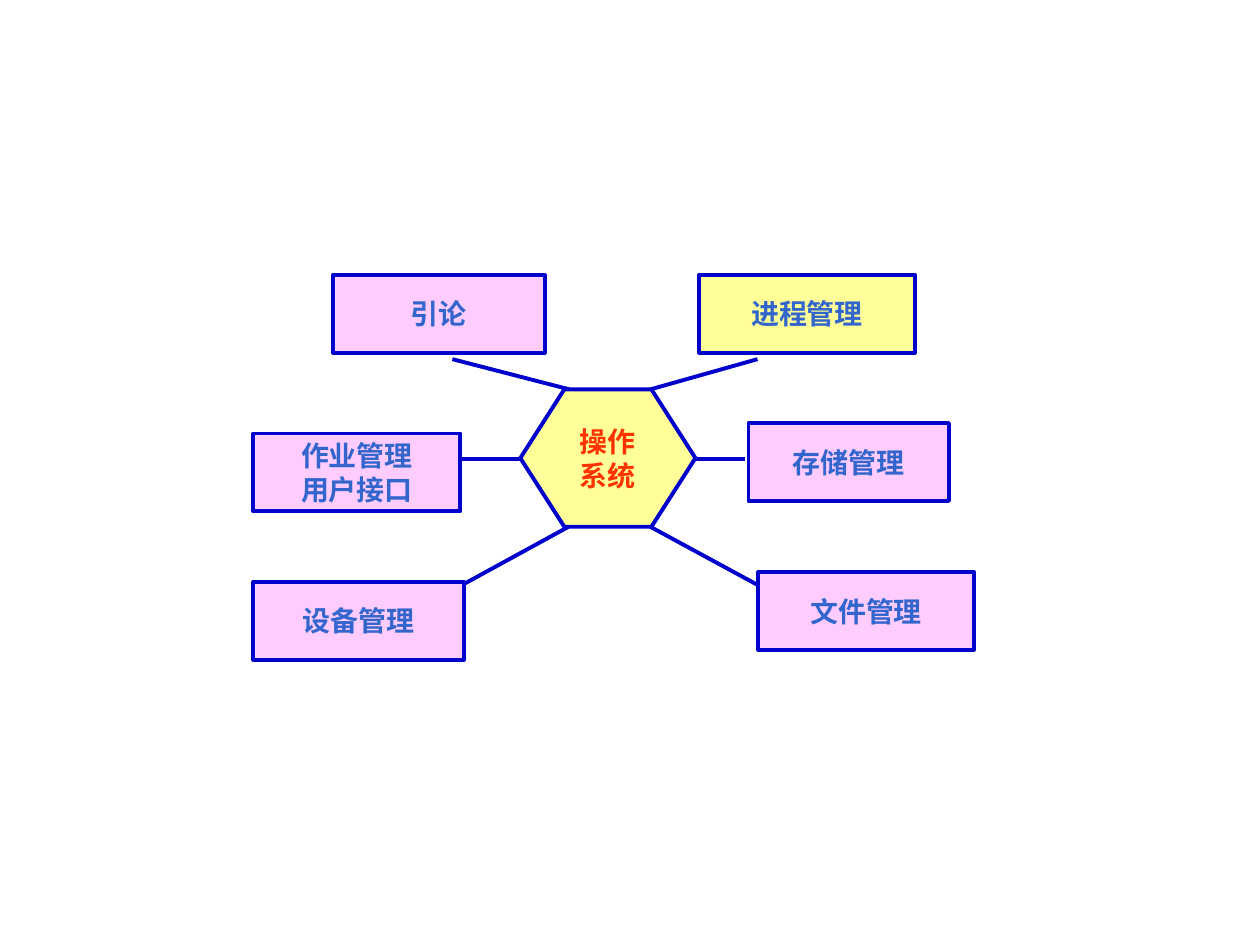
from dataclasses import dataclass

from lxml import etree
from pptx import Presentation
from pptx import util as u
from pptx.dml.color import RGBColor
from pptx.enum import shapes, text
from pptx.oxml import ns


@dataclass(frozen=True)
class Theme:
    font: str = "Arial"
    size: u.Pt = u.Pt(16)
    line_width: u.Pt = u.Pt(2.25)
    line: RGBColor = RGBColor(0x00, 0x00, 0xCC)
    pink: RGBColor = RGBColor(0xFF, 0xCC, 0xFF)
    yellow: RGBColor = RGBColor(0xFF, 0xFF, 0x99)
    topic_text: RGBColor = RGBColor(0x33, 0x66, 0xCC)
    hub_text: RGBColor = RGBColor(0xFF, 0x33, 0x00)


THEME = Theme()
BOX_HEIGHT = 1.57

# Spokes in cm: from x, y to x, y
SPOKES = [
    (9.12, 7.24, 11.48, 7.85),
    (15.27, 7.24, 13.11, 7.85),
    (9.32, 11.79, 11.46, 10.62),
    (15.27, 11.79, 13.11, 10.62),
    (10.62, 9.25, 9.32, 9.25),
    (13.97, 9.25, 15.01, 9.25),
]

# Topics: lines of text, then left, top, width in cm, then fill
TOPICS = [
    (["引论"], 6.71, 5.54, 4.27, THEME.pink),
    (["进程管理"], 14.1, 5.54, 4.34, THEME.yellow),
    (["设备管理"], 5.11, 11.73, 4.24, THEME.pink),
    (["作业管理", "用户接口"], 5.11, 8.74, 4.17, THEME.pink),
    (["存储管理"], 15.09, 8.53, 4.04, THEME.pink),
    (["文件管理"], 15.29, 11.53, 4.34, THEME.pink),
]


def style_line(line):
    line.color.rgb = THEME.line
    line.width = THEME.line_width


def add_spoke(s, *ends):
    sp = s.shapes.add_connector(
        shapes.MSO_CONNECTOR.STRAIGHT, *(u.Cm(v) for v in ends))
    style_line(sp.line)
    etree.SubElement(sp._element.spPr, ns.qn("a:effectLst"))


def add_node(s, kind, lines, box, fill, color):
    sp = s.shapes.add_shape(kind, *(u.Cm(v) for v in box))
    sp.shadow.inherit = False
    sp.fill.solid()
    sp.fill.fore_color.rgb = fill
    style_line(sp.line)
    tf = sp.text_frame
    tf.word_wrap = False
    tf.vertical_anchor = text.MSO_ANCHOR.MIDDLE
    tf.text = "\n".join(lines)
    for p in tf.paragraphs:
        p.alignment = text.PP_ALIGN.CENTER
        p.font.name = THEME.font
        p.font.size = THEME.size
        p.font.bold = True
        p.font.color.rgb = color
    return sp


def main():
    prs = Presentation()
    prs.slide_width, prs.slide_height = u.Cm(25.4), u.Cm(19.05)
    s = prs.slides.add_slide(prs.slide_layouts[6])

    # Spokes lie behind the nodes
    for ends in SPOKES:
        add_spoke(s, *ends)

    # Central hub
    hub = add_node(s, shapes.MSO_SHAPE.HEXAGON, ["操作", "系统"],
                   (10.49, 7.85, 3.53, 2.77), THEME.yellow, THEME.hub_text)
    hub.adjustments[0] = 0.32

    # Topics around the hub
    for lines, left, top, width, fill in TOPICS:
        add_node(s, shapes.MSO_SHAPE.RECTANGLE, lines,
                 (left, top, width, BOX_HEIGHT), fill, THEME.topic_text)

    prs.save("out.pptx")


if __name__ == "__main__":
    main()
